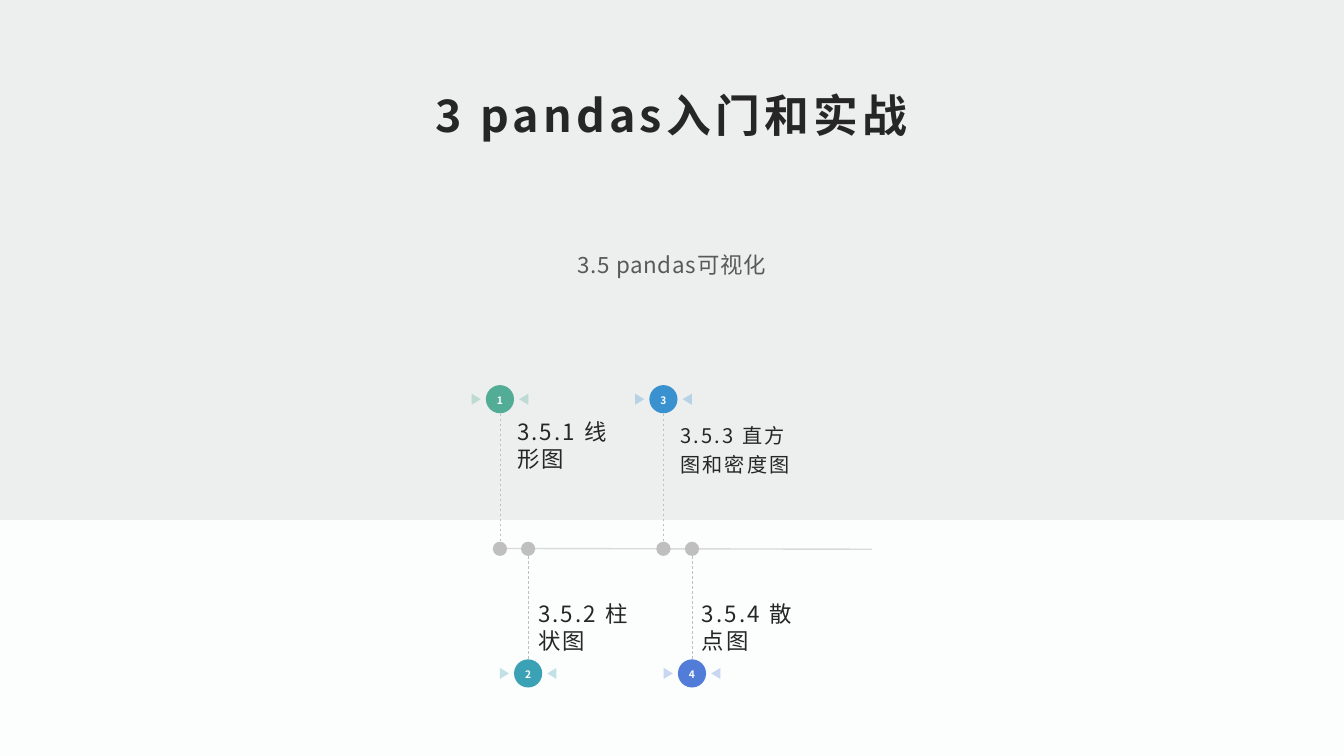
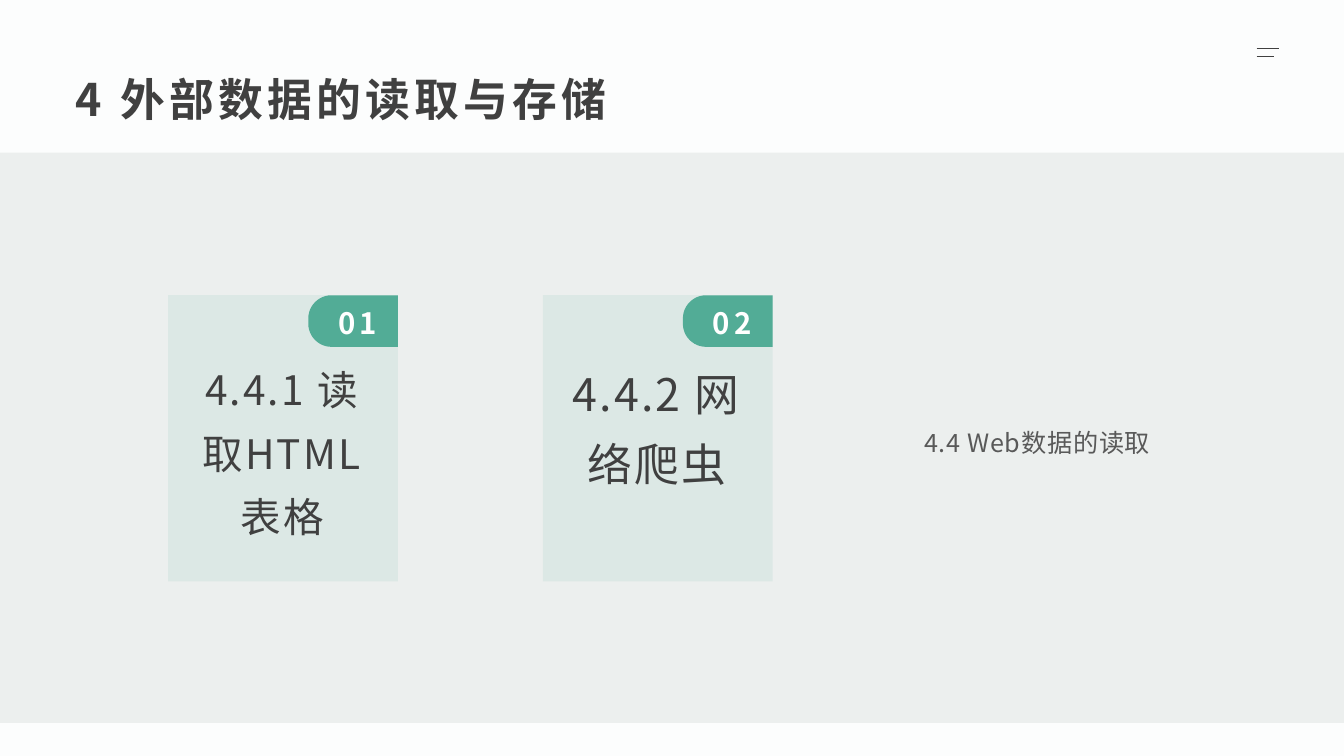
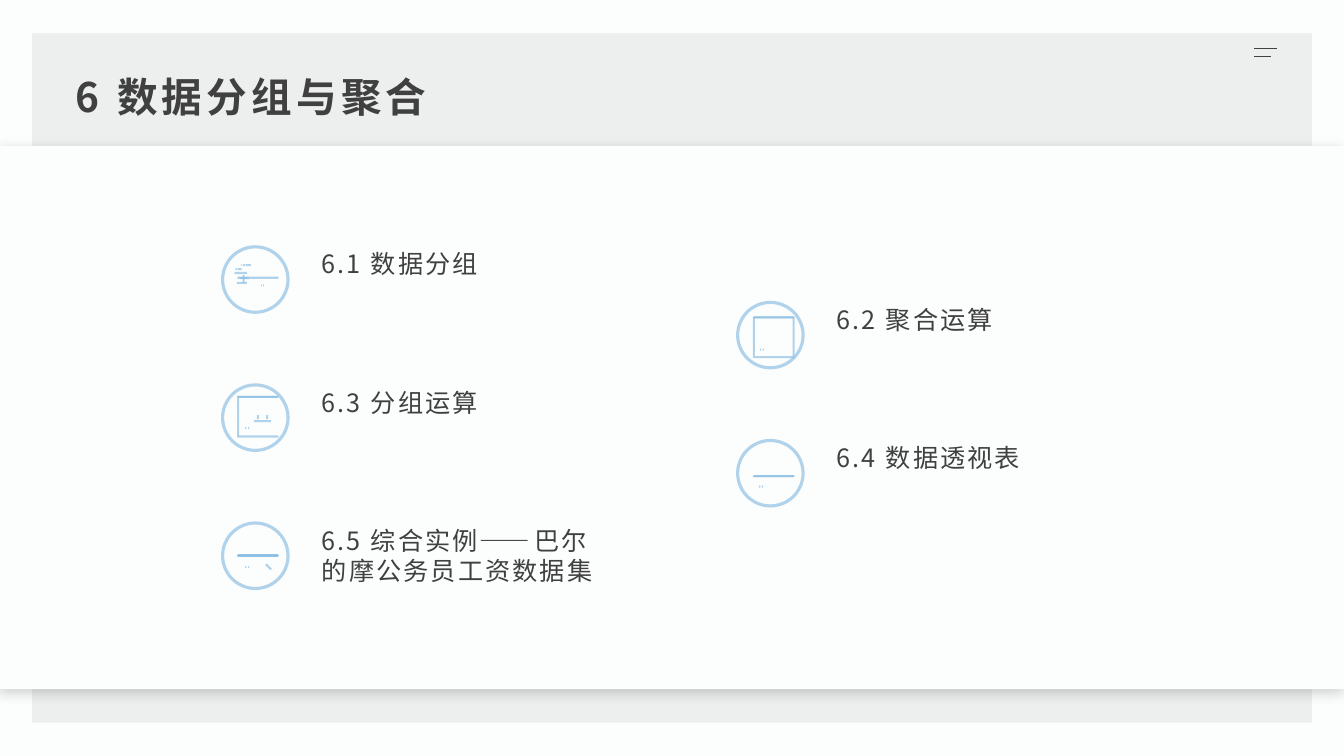
from dataclasses import dataclass
from math import cos, radians, sin

from lxml.etree import SubElement
from pptx import Presentation
from pptx.dml.color import RGBColor
from pptx.dml.fill import FillFormat
from pptx.enum.dml import MSO_LINE
from pptx.enum.shapes import MSO_CONNECTOR, MSO_SHAPE as Preset
from pptx.enum.text import MSO_ANCHOR as Anchor, MSO_AUTO_SIZE, PP_ALIGN as Align
from pptx.oxml.ns import qn
from pptx.shapes.autoshape import Shape
from pptx.shapes.connector import Connector
from pptx.slide import Slide
from pptx.text.text import TextFrame
from pptx.util import Cm, Pt

FONT = "Noto Sans CJK SC"
PAPER, BAND, INK, DARK = "FCFDFD", "ECEFEE", "404040", "262626"
GREY, AXIS, DOT, WHITE, GREEN, SKY = "595959", "D9D9D9", "BFBFBF", "FFFFFF", "52AC96", "89BDE2"
WIDTH, HEIGHT = 33.87, 19.05
TITLE_AND_BODY, TITLE_ONLY = 1, 5
ICON_ALPHA = 66

Point = tuple[float, float]
Stroke = list[Point]


@dataclass(frozen=True)
class Box:
    left: float
    top: float
    width: float
    height: float


@dataclass(frozen=True)
class TextStyle:
    size: float
    color: str
    bold: bool = False
    spacing: float = 0
    align: Align = Align.LEFT
    line_spacing: float = 1.0
    after: float = 0
    anchor: Anchor = Anchor.TOP
    inset: Point = (0.25, 0.13)


@dataclass(frozen=True)
class Milestone:
    number: str
    text: str
    x: float
    color: str
    above: bool
    size: float = 16
    line_spacing: float = 1.0


@dataclass(frozen=True)
class Card:
    number: str
    text: str
    size: float


@dataclass(frozen=True)
class Topic:
    text: str
    corner: Point
    strokes: list[Stroke]


def title_style(size: float, color: str = INK, align: Align = Align.LEFT) -> TextStyle:
    return TextStyle(size, color, True, 3, align, after=8, inset=(0.2, 0.1))


def body_style(size: float, align: Align) -> TextStyle:
    return TextStyle(size, GREY, False, 0.5, align, 1.3, 8, Anchor.MIDDLE, (0.2, 0.1))


def paint(fill: FillFormat, color: str, alpha: int = 100) -> None:
    fill.solid()
    fill.fore_color.rgb = RGBColor.from_string(color)
    if alpha < 100:
        tint = fill._xPr.find(qn("a:solidFill"))[0]
        SubElement(tint, qn("a:alpha")).set("val", str(alpha * 1000))


def write(frame: TextFrame, text: str, style: TextStyle) -> None:
    frame.word_wrap = True
    frame.auto_size = MSO_AUTO_SIZE.NONE
    frame.vertical_anchor = style.anchor
    frame.margin_left = frame.margin_right = Cm(style.inset[0])
    frame.margin_top = frame.margin_bottom = Cm(style.inset[1])
    para = frame.paragraphs[0]
    para.alignment = style.align
    para.line_spacing = style.line_spacing
    para.space_before, para.space_after = Pt(0), Pt(style.after)
    span = para.add_run()
    span.text = text
    span.font.size, span.font.bold, span.font.name = Pt(style.size), style.bold, FONT
    paint(span.font.fill, style.color)
    properties = span._r.get_or_add_rPr()
    properties.set("spc", str(int(style.spacing * 100)))
    SubElement(properties, qn("a:ea")).set("typeface", FONT)


def add_text(page: Slide, box: Box, text: str, style: TextStyle) -> None:
    label = page.shapes.add_textbox(Cm(box.left), Cm(box.top), Cm(box.width), Cm(box.height))
    write(label.text_frame, text, style)


def fill_placeholder(page: Slide, index: int, box: Box, text: str, style: TextStyle) -> None:
    holder = page.placeholders[index]
    holder.left, holder.top = Cm(box.left), Cm(box.top)
    holder.width, holder.height = Cm(box.width), Cm(box.height)
    write(holder.text_frame, text, style)
    properties = holder.text_frame.paragraphs[0]._p.get_or_add_pPr()
    properties.set("marL", "0")
    properties.set("indent", "0")
    SubElement(properties, qn("a:buNone"))
    page.shapes._spTree.append(holder._element)


def add_preset(page: Slide, preset: Preset, box: Box, color: str, alpha: int = 100,
               rotation: float = 0) -> Shape:
    shape = page.shapes.add_shape(preset, Cm(box.left), Cm(box.top), Cm(box.width), Cm(box.height))
    shape.shadow.inherit = False
    shape.rotation = rotation
    paint(shape.fill, color, alpha)
    shape.line.fill.background()
    return shape


def around(x: float, y: float, width: float, height: float) -> Box:
    return Box(x - width / 2, y - height / 2, width, height)


def add_line(page: Slide, start: Point, end: Point, color: str, weight: float,
             alpha: int = 100) -> Connector:
    line = page.shapes.add_connector(MSO_CONNECTOR.STRAIGHT, Cm(start[0]), Cm(start[1]),
                                     Cm(end[0]), Cm(end[1]))
    paint(line.line.fill, color, alpha)
    line.line.width = Pt(weight)
    SubElement(line._element.spPr, qn("a:effectLst"))
    return line


def add_stroke(page: Slide, origin: Point, stroke: Stroke) -> None:
    points = [(origin[0] + x / 100, origin[1] + y / 100) for x, y in stroke]
    if len(points) == 2:
        add_line(page, points[0], points[1], SKY, 1.5, ICON_ALPHA)
        return
    closed = points[0] == points[-1]
    builder = page.shapes.build_freeform(points[0][0], points[0][1], scale=float(Cm(1)))
    builder.add_line_segments(points[1:], close=closed)
    outline = builder.convert_to_shape()
    outline.shadow.inherit = False
    outline.fill.background()
    paint(outline.line.fill, SKY, ICON_ALPHA)
    outline.line.width = Pt(1.5)


def add_menu_mark(page: Slide, left: float) -> None:
    for y, length in ((1.22, 0.57), (1.42, 0.43)):
        add_line(page, (left, y), (left + length, y), INK, 1)


def add_soft_shadow(shape: Shape) -> None:
    effects = shape._element.spPr.find(qn("a:effectLst"))
    shadow = SubElement(effects, qn("a:outerShdw"), blurRad=str(Pt(10)), dist=str(Pt(3)),
                        dir="5400000", algn="t", rotWithShape="0")
    tint = SubElement(shadow, qn("a:srgbClr"), val="0D0D0D")
    SubElement(tint, qn("a:alpha"), val="20000")


def arc(x: float, y: float, radius: float, start: int, end: int) -> Stroke:
    steps = 16
    angles = [radians(start + (end - start) * i / steps) for i in range(steps + 1)]
    return [(round(x + radius * cos(a), 2), round(y + radius * sin(a), 2)) for a in angles]


def rectangle(left: float, top: float, right: float, bottom: float) -> Stroke:
    return [(left, top), (right, top), (right, bottom), (left, bottom), (left, top)]


def row(y: float, *spans: Point) -> list[Stroke]:
    return [[(start, y), (end, y)] for start, end in spans]


PARCEL = [rectangle(24, 0, 42, 9), *row(58, (6, 9), (13, 16))]

EXPRESS_ICON = [
    [(0, 48), (0, 58), (71, 58), (71, 0), (0, 0), (0, 13)],
    [(0, 15), (0, 23)], [(0, 25), (0, 35)],
    [(20, 0), (20, 8), (35, 8), (35, 0)],
    *row(41, (44, 46), (49, 51)), *row(10, (-23, 8)), *row(35, (-17, 8)), *row(23, (-10, 13)),
    *row(-10, (5, 18), (-2, 3), (-7, -5)), *row(0, (-15, -5), (-20, -17)),
]
RETURN_ICON = PARCEL + [
    [(66, 25), (66, 0), (0, 0), (0, 65), *arc(49, 45, 20, 90, -90), (38, 25), (38, 20),
     (23, 30), (38, 41), (38, 36), *arc(49, 45, 9, -90, 90), (36, 54)],
]
CALENDAR_ICON = PARCEL + [
    [(23, 66), (0, 66), (0, 0), (66, 0), (66, 25)],
    rectangle(28, 30, 71, 66), *row(40, (28, 71)),
    [(38, 25), (38, 35)], [(61, 25), (61, 35)],
]
CHECK_ICON = PARCEL + [
    [(66, 18), (66, 0), (0, 0), (0, 65), (66, 65), (66, 46)],
    [(66, 23), (46, 44), (36, 36), (31, 44), (46, 59), (74, 31), (66, 23)],
]
SEARCH_ICON = PARCEL + [
    [(61, 64), (0, 64), (0, 0), (66, 0), (66, 18)],
    arc(47, 38, 17, 0, 360), arc(47, 38, 10, 180, 270), [(58, 51), (71, 64)],
]

MILESTONES = [
    Milestone("1", "3.5.1 线形图", 12.6, GREEN, True),
    Milestone("2", "3.5.2 柱状图", 13.31, "3BA1B4", False),
    Milestone("3", "3.5.3 直方图和密度图", 16.72, "3A91CF", True, 14.4, 1.2),
    Milestone("4", "3.5.4 散点图", 17.44, "517DD8", False),
]
CARDS = [Card("01", "4.4.1 读取HTML表格", 29), Card("02", "4.4.2 网络爬虫", 32)]
TOPICS = [
    Topic("6.1 数据分组", (0.53, 0.56), EXPRESS_ICON),
    Topic("6.2 聚合运算", (0.5, 0.61), RETURN_ICON),
    Topic("6.3 分组运算", (0.51, 0.51), CALENDAR_ICON),
    Topic("6.4 数据透视表", (0.48, 0.58), CHECK_ICON),
    Topic("6.5 综合实例——巴尔的摩公务员工资数据集", (0.51, 0.53), SEARCH_ICON),
]


def add_milestone(page: Slide, item: Milestone) -> None:
    axis_y = 13.83
    side = -1 if item.above else 1
    badge_y = 10.06 if item.above else 16.97
    add_preset(page, Preset.OVAL, around(item.x, axis_y, 0.36, 0.36), DOT)
    stem = add_line(page, (item.x, badge_y - side * 0.36), (item.x, axis_y + side * 0.18), DOT, 0.5)
    stem.line.dash_style = MSO_LINE.DASH
    for offset, rotation in ((-0.6, 90), (0.6, 270)):
        add_preset(page, Preset.ISOSCELES_TRIANGLE, around(item.x + offset, badge_y, 0.28, 0.23),
                   item.color, 30, rotation)
    badge = add_preset(page, Preset.OVAL, around(item.x, badge_y, 0.71, 0.71), item.color)
    write(badge.text_frame, item.number,
          TextStyle(7.3, WHITE, True, 0, Align.CENTER, 1.2, 0, Anchor.MIDDLE, (0, 0)))
    box = Box(item.x + 0.18, 10.41, 3.38, 1.7) if item.above else Box(item.x, 14.91, 3.38, 1.7)
    anchor = Anchor.TOP if item.above else Anchor.BOTTOM
    add_text(page, box, item.text, TextStyle(item.size, DARK, spacing=1.5, anchor=anchor,
                                             line_spacing=item.line_spacing))


def add_card(page: Slide, left: float, card: Card) -> None:
    top, width, height = 7.44, 5.79, 7.21
    tab_width, tab_height = 2.26, 1.3
    add_preset(page, Preset.RECTANGLE, Box(left, top, width, height), GREEN, 10)
    tab_x, tab_y = left + width - tab_width / 2, top + tab_height / 2
    tab = add_preset(page, Preset.ROUND_2_SAME_RECTANGLE,
                     around(tab_x, tab_y, tab_height, tab_width), GREEN, rotation=270)
    tab.adjustments[0] = 0.45
    add_text(page, Box(left + 0.41, 8.71, 4.95, 5.72), card.text,
             TextStyle(card.size, INK, False, 1.5, Align.CENTER, 1.3))
    add_text(page, Box(left + 3.78, top, 1.98, tab_height), card.number,
             TextStyle(21, WHITE, True, 3, Align.CENTER, 1.1, 0, Anchor.MIDDLE))


def add_topic(page: Slide, left: float, top: float, topic: Topic) -> None:
    ring = add_preset(page, Preset.OVAL, Box(left, top, 1.65, 1.65), PAPER)
    ring.fill.background()
    paint(ring.line.fill, SKY, ICON_ALPHA)
    ring.line.width = Pt(2.25)
    origin = (left + topic.corner[0], top + topic.corner[1])
    for stroke in topic.strokes:
        add_stroke(page, origin, stroke)
    add_text(page, Box(left + 2.25, top - 0.08, 7.49, 1.8), topic.text,
             TextStyle(18, INK, spacing=1.5))


def build_timeline_page(page: Slide) -> None:
    add_preset(page, Preset.RECTANGLE, Box(0, 0, WIDTH, 13.1), BAND)
    fill_placeholder(page, 0, Box(1.68, 2.11, 30.48, 1.75), "3 pandas入门和实战",
                     title_style(32, DARK, Align.CENTER))
    fill_placeholder(page, 1, Box(1.68, 4.27, 30.48, 4.57), "3.5 pandas可视化",
                     body_style(16, Align.CENTER))
    add_line(page, (12.42, 13.82), (21.97, 13.84), AXIS, 1)
    for item in MILESTONES:
        add_milestone(page, item)


def build_cards_page(page: Slide) -> None:
    add_preset(page, Preset.RECTANGLE, Box(0, 3.85, WIDTH, 14.37), BAND)
    fill_placeholder(page, 0, Box(1.7, 1.7, 30.48, 1.75), "4 外部数据的读取与存储",
                     title_style(32))
    fill_placeholder(page, 1, Box(23.09, 9.98, 9.09, 2.11), "4.4 Web数据的读取",
                     body_style(18, Align.JUSTIFY))
    add_menu_mark(page, 31.67)
    for index, card in enumerate(CARDS):
        add_card(page, 4.24 + 9.44 * index, card)


def build_topics_page(page: Slide) -> None:
    add_preset(page, Preset.RECTANGLE, Box(0.81, 0.84, 32.25, 17.37), BAND)
    sheet = add_preset(page, Preset.RECTANGLE, Box(0, 3.68, WIDTH, 13.69), PAPER)
    add_soft_shadow(sheet)
    fill_placeholder(page, 0, Box(1.7, 1.7, 30.48, 1.57), "6 数据分组与聚合", title_style(29))
    add_menu_mark(page, 31.6)
    for index, topic in enumerate(TOPICS):
        line, column = divmod(index, 2)
        add_topic(page, 5.61 + 12.98 * column, 6.22 + 1.4 * column + 3.48 * line, topic)


def main() -> None:
    deck = Presentation()
    deck.slide_width, deck.slide_height = Cm(WIDTH), Cm(HEIGHT)
    paint(deck.slide_master.background.fill, PAPER)
    for layout, build in ((TITLE_AND_BODY, build_timeline_page),
                          (TITLE_AND_BODY, build_cards_page),
                          (TITLE_ONLY, build_topics_page)):
        build(deck.slides.add_slide(deck.slide_layouts[layout]))
    deck.save("out.pptx")


if __name__ == "__main__":
    main()
